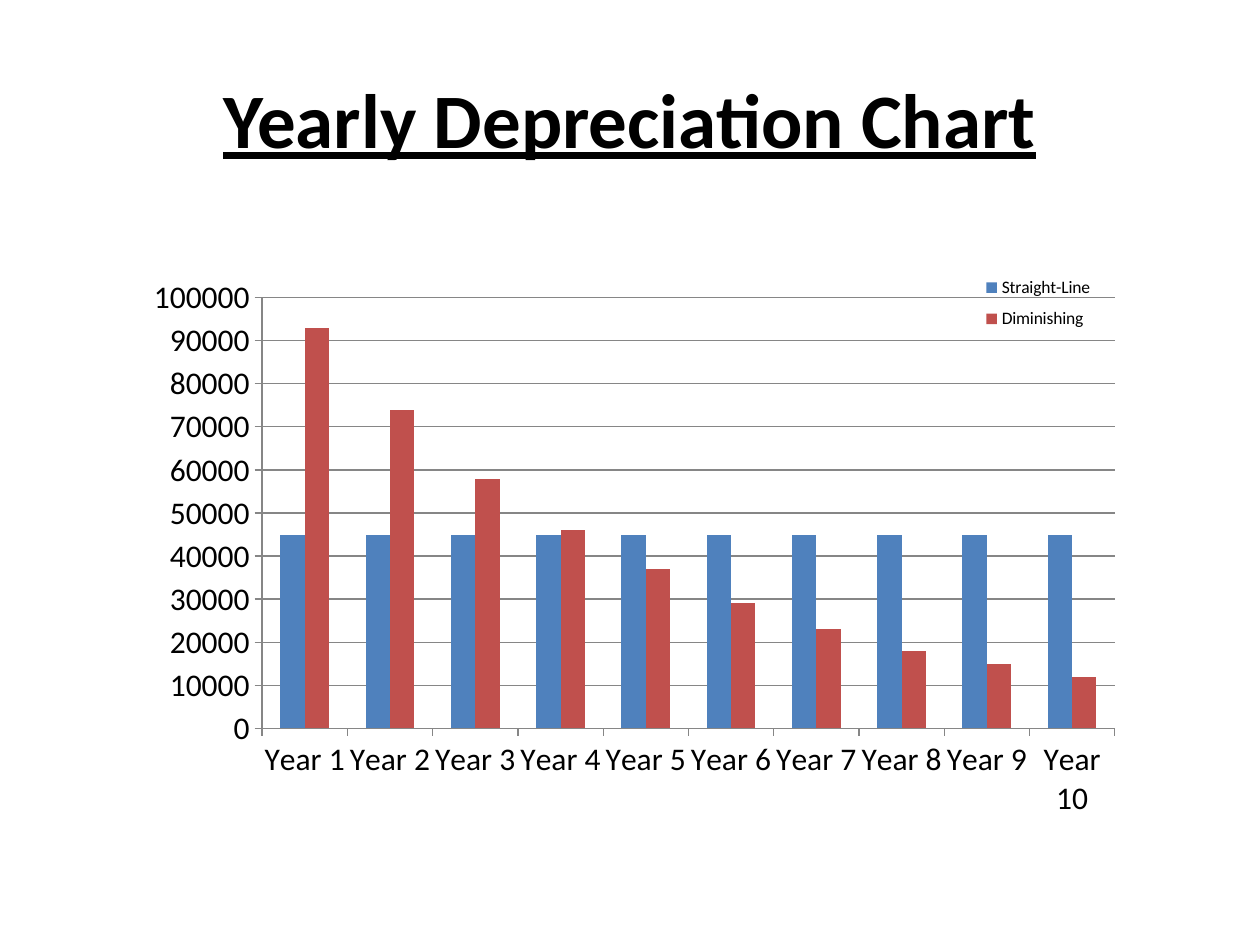
from pptx import Presentation
from pptx.chart.data import CategoryChartData
from pptx.dml.color import RGBColor
from pptx.enum.chart import XL_CHART_TYPE as ChartType, XL_LEGEND_POSITION as LegendPosition
from pptx.enum.chart import XL_TICK_MARK as TickMark
from pptx.enum.text import MSO_ANCHOR as Anchor, PP_ALIGN as Align
from pptx.oxml import parse_xml
from pptx.oxml.ns import nsdecls
from pptx.util import Pt

BLACK = RGBColor(0x00, 0x00, 0x00)
GRAY = RGBColor(0x86, 0x86, 0x86)
BLUE = RGBColor(0x4F, 0x81, 0xBD)
RED = RGBColor(0xC0, 0x50, 0x4D)


def set_font(font, **formats):
    for name, value in {"name": "Calibri", **formats}.items():
        setattr(font, name, value)
    font.color.rgb = BLACK


def place(element, index, target, **fractions):
    """Give a chart part a fixed place, in fractions of the chart."""
    for old in element.xpath("c:layout"):
        element.remove(old)
    modes = {"layoutTarget": target} if target else {}
    modes |= {"xMode": "edge", "yMode": "edge"}
    items = "".join(f'<c:{tag} val="{value}"/>' for tag, value in {**modes, **fractions}.items())
    element.insert(index, parse_xml(
        f'<c:layout {nsdecls("c")}><c:manualLayout>{items}</c:manualLayout></c:layout>'))


deck = Presentation()
deck.slide_width, deck.slide_height = Pt(720), Pt(540)
page = deck.slides.add_slide(deck.slide_layouts[6])

# Title
box = page.shapes.add_textbox(Pt(36), Pt(22), Pt(648), Pt(90))
box.text_frame.word_wrap = True
box.text_frame.vertical_anchor = Anchor.MIDDLE
para = box.text_frame.paragraphs[0]
para.alignment = Align.CENTER
span = para.add_run()
span.text = "Yearly Depreciation Chart"
set_font(span.font, size=Pt(44), bold=True, underline=True)

# Chart data
data = CategoryChartData()
data.categories = [f"Year {year}" for year in range(1, 11)]
data.add_series("Straight-Line", [45000] * 10)
data.add_series("Diminishing", [93000, 74000, 58000, 46000, 37000,
                                29000, 23000, 18000, 15000, 12000])

# Column chart
chart = page.shapes.add_chart(ChartType.COLUMN_CLUSTERED, Pt(72), Pt(149), Pt(576), Pt(324), data).chart
set_font(chart.font, size=Pt(18))
chart.has_title = False
plot = chart.plots[0]
plot.gap_width = 150
plot.overlap = 0
plot.vary_by_categories = False
for series, color in zip(plot.series, (BLUE, RED)):
    series.format.fill.solid()
    series.format.fill.fore_color.rgb = color
place(chart.element.xpath("//c:plotArea")[0], 0, "inner", x=0.135, y=0.065, w=0.846, h=0.76)

# Axes
values = chart.value_axis
values.minimum_scale, values.maximum_scale, values.major_unit = 0, 100000, 10000
values.has_major_gridlines = True
for axis in (chart.category_axis, values):
    axis.major_tick_mark = TickMark.OUTSIDE
    axis.minor_tick_mark = TickMark.NONE
    axis.tick_labels.number_format = "General"
    axis.tick_labels.number_format_is_linked = False
for part in (chart.category_axis, values, values.major_gridlines):
    part.format.line.color.rgb = GRAY
    part.format.line.width = Pt(0.75)

# Legend over the top right of the plot
chart.has_legend = True
legend = chart.legend
legend.position = LegendPosition.RIGHT
legend.include_in_layout = True
set_font(legend.font, size=Pt(10))
place(chart.element.xpath("//c:legend")[0], 1, None, x=0.84, y=0.01, w=0.13, h=0.13)

deck.save("out.pptx")
